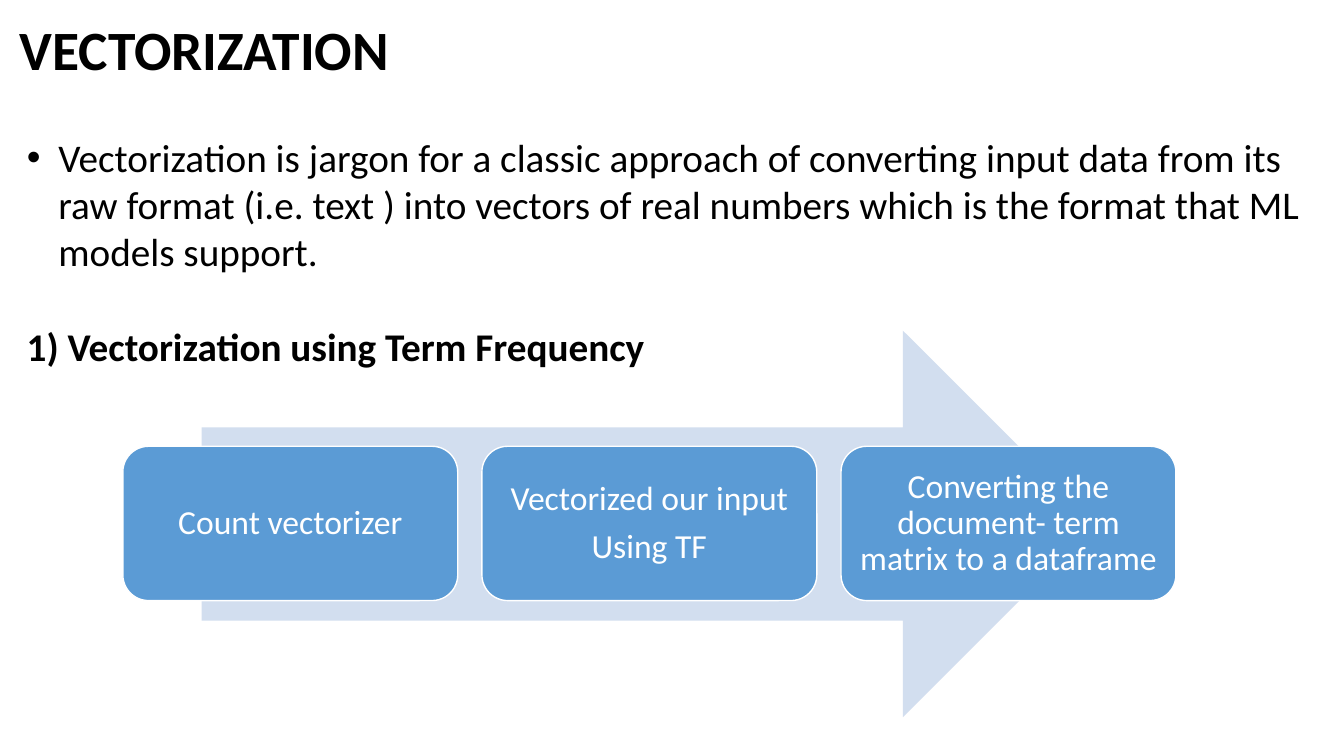
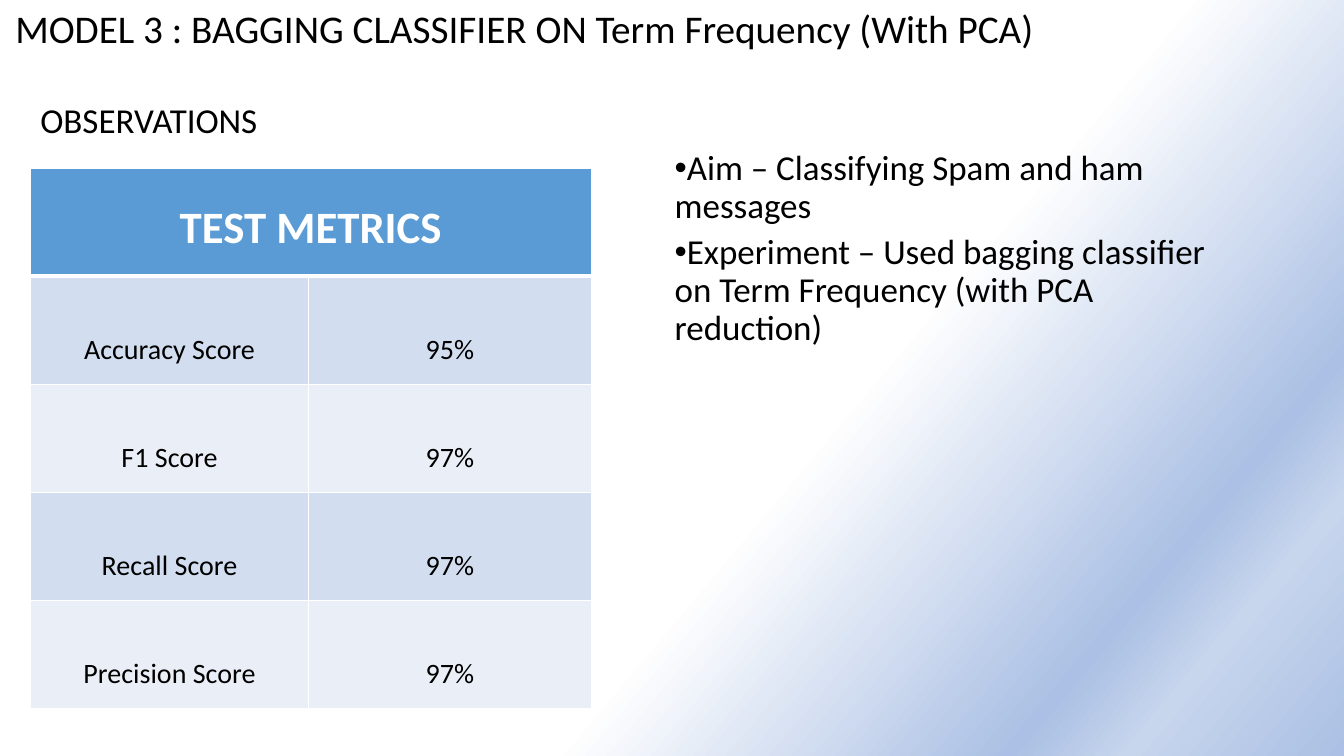
from copy import deepcopy

from lxml.etree import SubElement
from pptx import Presentation
from pptx.dml.color import RGBColor
from pptx.enum.shapes import MSO_SHAPE as Shape
from pptx.enum.text import MSO_ANCHOR as Anchor, MSO_AUTO_SIZE as Fit, PP_ALIGN as Align
from pptx.oxml.ns import qn
from pptx.util import Pt

PX = 9525
FONT = "Calibri"
BLACK = RGBColor(0x00, 0x00, 0x00)
WHITE = RGBColor(0xFF, 0xFF, 0xFF)
BLUE = RGBColor(0x5B, 0x9B, 0xD5)
PALE = RGBColor(0xD2, 0xDE, 0xEF)
MIST = RGBColor(0xEA, 0xEF, 0xF7)
HAZE = RGBColor(0xAB, 0xC0, 0xE4)
GLOW = RGBColor(0xC7, 0xD5, 0xED)
GRADE = [(0.6, WHITE), (0.83, HAZE), (0.89, GLOW), (1.0, HAZE)]

STEPS = [
    ["Count vectorizer"],
    ["Vectorized our input", "Using TF"],
    ["Converting the document- term matrix to a dataframe"],
]
SCORES = [
    ("Accuracy Score", "95%"),
    ("F1 Score", "97%"),
    ("Recall Score", "97%"),
    ("Precision Score", "97%"),
]


def emu(*px):
    return [n * PX for n in px]


def write(frame, lines, size, color=BLACK, bold=False, align=Align.LEFT, space=1.0, after=0):
    frame.text = "\n".join(lines)
    for para in frame.paragraphs:
        para.alignment = align
        para.line_spacing = space
        para.space_before = Pt(0)
        para.space_after = Pt(after)
        font = para.font
        font.name, font.size, font.bold = FONT, Pt(size), bold
        font.color.rgb = color


def place(holder, box, anchor):
    """Move a placeholder and return its text frame."""
    holder.left, holder.top, holder.width, holder.height = emu(*box)
    frame = holder.text_frame
    frame.auto_size = Fit.NONE
    frame.vertical_anchor = anchor
    return frame


def add_title(slide, text, box, size, anchor=Anchor.MIDDLE, bold=False):
    frame = place(slide.shapes.title, box, anchor)
    write(frame, [text], size, bold=bold, space=0.9)


def add_list(slide, lines, box, size, left, hang, anchor=Anchor.TOP, **style):
    frame = place(slide.placeholders[1], box, anchor)
    write(frame, lines, size, **style)
    for para in frame.paragraphs:
        props = para._p.get_or_add_pPr()
        props.set("marL", str(left * PX))
        props.set("indent", str(-hang * PX))


def add_label(slide, text, box, size, anchor=Anchor.TOP, **style):
    frame = slide.shapes.add_textbox(*emu(*box)).text_frame
    frame.word_wrap = True
    frame.vertical_anchor = anchor
    write(frame, [text], size, **style)


def add_block(slide, kind, box, color, edge=None):
    block = slide.shapes.add_shape(kind, *emu(*box))
    block.shadow.inherit = False
    block.fill.solid()
    block.fill.fore_color.rgb = color
    if edge is None:
        block.line.fill.background()
    else:
        block.line.color.rgb = edge
        block.line.width = Pt(1)
    return block


def add_flow(slide):
    """Draw the steps in a row over a broad arrow."""
    add_block(slide, Shape.RIGHT_ARROW, (192, 315, 852, 368), PALE)
    left, top, wide, high, gap = 117, 425, 319, 147, 23
    for i, lines in enumerate(STEPS):
        box = (left + i * (wide + gap), top, wide, high)
        block = add_block(slide, Shape.ROUNDED_RECTANGLE, box, BLUE, WHITE)
        frame = block.text_frame
        frame.word_wrap = True
        frame.vertical_anchor = Anchor.MIDDLE
        write(frame, lines, 24, WHITE, align=Align.CENTER, space=0.9, after=8)


def edge_cell(cell, top, bottom):
    """Give a cell white borders, with top and bottom widths in points."""
    props = cell._tc.get_or_add_tcPr()
    for side, width in (("L", 1), ("R", 1), ("T", top), ("B", bottom)):
        line = SubElement(props, qn("a:ln" + side), w=str(Pt(width)))
        fill = SubElement(line, qn("a:solidFill"))
        SubElement(fill, qn("a:srgbClr"), val=str(WHITE))


def add_scores(slide):
    rows = [("TEST METRICS", "")] + SCORES
    wides, high = (265, 269), 103
    box = (29, 160, sum(wides), high * len(rows))
    table = slide.shapes.add_table(len(rows), len(wides), *emu(*box)).table
    table.horz_banding = False
    for col, wide in zip(table.columns, wides):
        col.width = wide * PX
    for r, row in enumerate(rows):
        table.rows[r].height = high * PX
        head = r == 0
        for c, text in enumerate(row):
            cell = table.cell(r, c)
            edge_cell(cell, 3 if r == 1 else 1, 3 if head else 1)
            cell.fill.solid()
            cell.fill.fore_color.rgb = BLUE if head else PALE if r % 2 else MIST
            write(cell.text_frame, [text], 32 if head else 20, WHITE if head else BLACK,
                  bold=head, align=Align.CENTER, space=1.5 if head else 2.5)
    table.cell(0, 0).merge(table.cell(0, 1))


def shade(slide):
    """Fill the background with the slanted gradient."""
    fill = slide.background.fill
    fill.gradient()
    fill.gradient_angle = 320
    stops = slide._element.find(".//" + qn("a:gsLst"))
    while len(stops) < len(GRADE):
        stops.append(deepcopy(stops[-1]))
    for stop, (spot, color) in zip(fill.gradient_stops, GRADE):
        stop.position = spot
        stop.color.rgb = color


def build_vectors(slide):
    add_title(slide, "VECTORIZATION", (9, 15, 413, 71), 39.6, bold=True)
    add_list(slide, [
        "Vectorization is jargon for a classic approach of converting input data from its "
        "raw format (i.e. text ) into vectors of real numbers which is the format that ML "
        "models support.",
    ], (16, 122, 1239, 145), 28, left=30, hang=30)
    add_flow(slide)
    add_label(slide, "1) Vectorization using Term Frequency", (16, 302, 701, 84), 28, bold=True)


def build_model(slide):
    shade(slide)
    add_title(slide, "MODEL 3 : BAGGING CLASSIFIER ON Term Frequency (With PCA)",
              (5, 4, 1272, 60), 28, Anchor.TOP)
    add_scores(slide)
    add_list(slide, [
        "Aim – Classifying Spam and ham messages",
        "Experiment – Used bagging classifier on Term Frequency (with PCA reduction)",
    ], (633, 85, 546, 305), 25, left=0, hang=24, anchor=Anchor.MIDDLE, space=0.9, after=6)
    add_label(slide, "OBSERVATIONS", (29, 80, 269, 73), 25, Anchor.MIDDLE, space=0.9)


def main():
    deck = Presentation()
    deck.slide_width, deck.slide_height = emu(1280, 720)
    for build in (build_vectors, build_model):
        build(deck.slides.add_slide(deck.slide_layouts[1]))
    deck.save("out.pptx")


if __name__ == "__main__":
    main()
